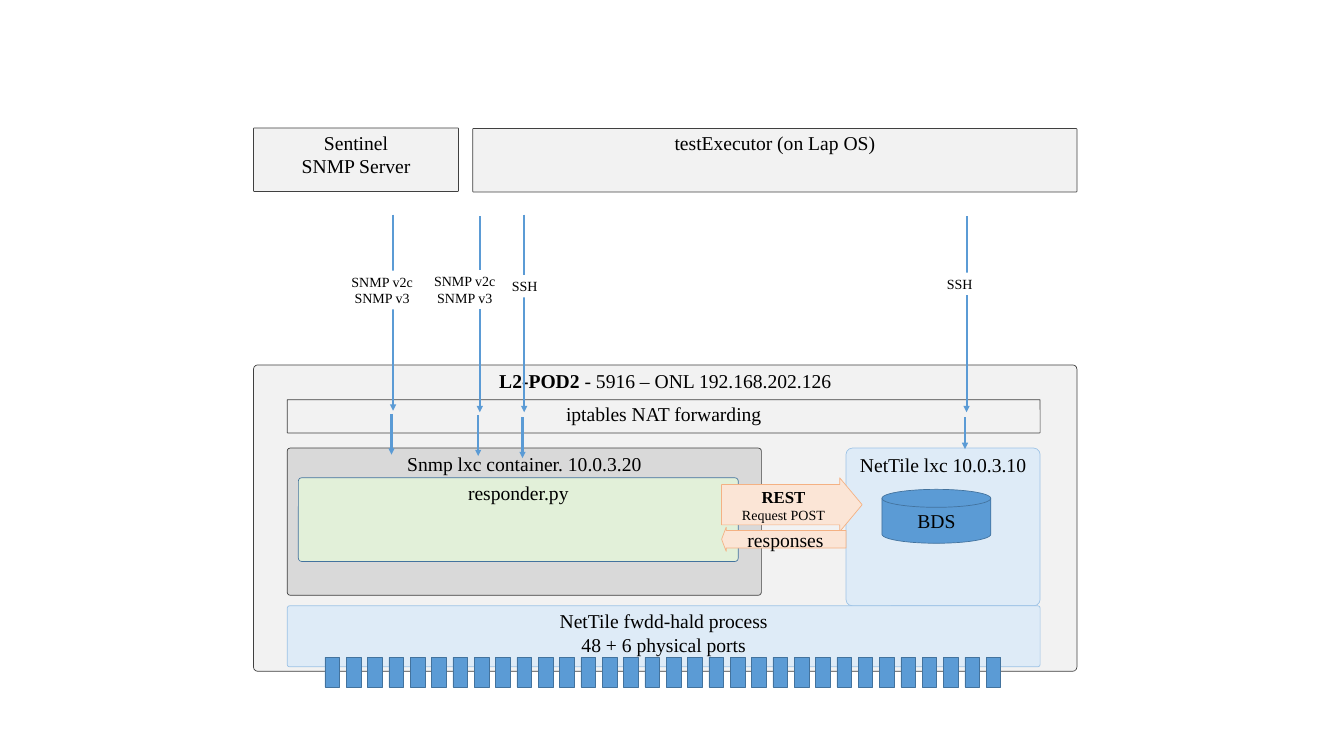
from pptx import Presentation
from pptx.dml.color import RGBColor
from pptx.enum.shapes import MSO_CONNECTOR as Link, MSO_SHAPE as Kind
from pptx.enum.text import MSO_ANCHOR as Anchor, MSO_AUTO_SIZE as Fit, PP_ALIGN as Align
from pptx.oxml.ns import qn
from pptx.util import Inches, Pt
from lxml.etree import SubElement

# All lengths are percent of the slide: columns across, rows down
WIDE, HIGH = Inches(26.67), Inches(15)
COL, ROW = WIDE / 100, HIGH / 100

FONT = "Times New Roman"
BLACK = RGBColor(0x00, 0x00, 0x00)
WHITE = RGBColor(0xFF, 0xFF, 0xFF)
PALE = RGBColor(0xF2, 0xF2, 0xF2)
GREY = RGBColor(0xD9, 0xD9, 0xD9)
DARK = RGBColor(0x40, 0x40, 0x40)
ICE = RGBColor(0xDE, 0xEB, 0xF7)
SKY = RGBColor(0x9D, 0xC3, 0xE6)
GREEN = RGBColor(0xE2, 0xF0, 0xD9)
BLUE = RGBColor(0x5B, 0x9B, 0xD5)
NAVY = RGBColor(0x43, 0x73, 0x9E)
PEACH = RGBColor(0xFB, 0xE5, 0xD6)
ORANGE = RGBColor(0xF4, 0xB1, 0x83)

# Shared edges
LEFT, INNER, SPAN = 18.86, 21.37, 56.02
LXC_TOP, REST_TOP, REST_LEFT = 59.27, 63.2, 53.69


def add_text(shape, lines, align=Align.CENTER, anchor=Anchor.TOP):
    """Each line is a list of runs: (text, size, bold)."""
    frame = shape.text_frame
    frame.word_wrap = True
    frame.vertical_anchor = anchor
    for i, runs in enumerate(lines):
        para = frame.paragraphs[0] if i == 0 else frame.add_paragraph()
        para.alignment = align
        for text, size, bold in runs:
            run = para.add_run()
            run.text = text
            run.font.name = FONT
            run.font.size = Pt(size)
            run.font.bold = bold
            run.font.color.rgb = BLACK


def plain(*texts, size=28):
    return [[(text, size, False)] for text in texts]


def add_shape(slide, kind, x, y, w, h, fill, edge=None, adjust=()):
    shape = slide.shapes.add_shape(
        kind, round(x * COL), round(y * ROW), round(w * COL), round(h * ROW))
    shape.shadow.inherit = False
    shape.fill.solid()
    shape.fill.fore_color.rgb = fill
    if edge is None:
        shape.line.fill.background()
    else:
        shape.line.color.rgb = edge
        shape.line.width = Pt(1)
    for i, value in enumerate(adjust):
        shape.adjustments[i] = value
    return shape


def add_box(slide, x, y, w, h, fill, edge, lines, curve=0.014):
    box = add_shape(slide, Kind.ROUNDED_RECTANGLE, x, y, w, h, fill, edge, [curve])
    add_text(box, lines)


def add_arrow(slide, x1, y1, x2, y2):
    link = slide.shapes.add_connector(
        Link.STRAIGHT, round(x1 * COL), round(y1 * ROW), round(x2 * COL), round(y2 * ROW))
    link.line.color.rgb = BLUE
    link.line.width = Pt(3)
    SubElement(link.line._get_or_add_ln(), qn("a:tailEnd"), type="triangle")
    SubElement(link._element.spPr, qn("a:effectLst"))


def add_label(slide, x, y, w, h, texts, align):
    label = add_shape(slide, Kind.RECTANGLE, x, y, w, h, WHITE)
    add_text(label, plain(*texts, size=20), align)
    label.text_frame.margin_right = Inches(0.09)
    label.text_frame.auto_size = Fit.SHAPE_TO_FIT_TEXT


def add_hosts(slide):
    add_box(slide, LEFT, 16.93, 15.26, 8.4, PALE, DARK, plain("Sentinel", "SNMP Server"))
    add_box(slide, 35.17, 17, 44.96, 8.4, PALE, DARK, plain("testExecutor (on Lap OS)"))


def add_pod(slide):
    add_box(slide, LEFT, 48.27, 61.27, 40.53, PALE, DARK,
            [[("L2-POD2 ", 28, True), ("- 5916 – ONL 192.168.202.126", 28, False)]])
    add_box(slide, INNER, LXC_TOP, 35.28, 19.47, GREY, DARK,
            plain("Snmp lxc container. 10.0.3.20"), 0.021)
    add_box(slide, 62.95, LXC_TOP, 14.44, 20.87, ICE, SKY,
            plain("NetTile lxc 10.0.3.10"), 0.04)
    add_box(slide, 22.2, REST_TOP, 32.73, 11.07, GREEN, NAVY, plain("responder.py"), 0.04)
    add_box(slide, INNER, 52.87, SPAN, 4.4, PALE, DARK, plain("iptables NAT forwarding"))
    add_box(slide, INNER, 80.13, SPAN, 8.07, ICE, SKY,
            plain("NetTile fwdd-hald process", "48 + 6 physical ports"), 0.04)


def add_rest(slide):
    out = add_shape(slide, Kind.RIGHT_ARROW, REST_LEFT, REST_TOP, 10.46, 7.13,
                    PEACH, ORANGE, [0.748, 0.417])
    add_text(out, [[("REST", 24, True)], [("Request POST", 20, False)]],
             anchor=Anchor.MIDDLE)
    back = add_shape(slide, Kind.LEFT_ARROW, REST_LEFT, 69.73, 9.26, 3.2,
                     PEACH, ORANGE, [0.726, 0.19])
    add_text(back, plain("responses"), anchor=Anchor.MIDDLE)
    disk = add_shape(slide, Kind.FLOWCHART_MAGNETIC_DISK, 65.62, 64.73, 8.1, 7.13,
                     BLUE, NAVY)
    add_text(disk, plain("BDS"), anchor=Anchor.MIDDLE)


def add_ports(slide, count=32, first=24.18, last=73.38):
    step = (last - first) / (count - 1)
    for i in range(count):
        add_shape(slide, Kind.RECTANGLE, first + i * step, 86.95, 1.09, 3.93, BLUE, NAVY)


def add_flows(slide):
    # Column, start and end of the long arrow, start and end of the short one
    for x, top, stop, start, end in [
        (29.25, 28.4, 54.33, 54.73, 60.13),
        (35.7, 28.6, 54.53, 54.93, 60.33),
        (39, 28.4, 54.53, 55.2, 60.6),
        (71.92, 28.6, 54.53, 55.2, 59.4),
    ]:
        add_arrow(slide, x, top, x, stop)
        add_arrow(slide, x - 0.12, start, x - 0.12, end)
    # Protocol labels over the long arrows
    for x, y in [(25.72, 35.8), (31.87, 35.73)]:
        add_label(slide, x, y, 5.4, 5.13, ["SNMP v2c", "SNMP v3"], Align.CENTER)
    for x, y, w in [(37.72, 36.4, 2.7), (70.08, 36.07, 3.19)]:
        add_label(slide, x, y, w, 2.93, ["SSH"], Align.LEFT)


def main():
    deck = Presentation()
    deck.slide_width, deck.slide_height = WIDE, HIGH
    slide = deck.slides.add_slide(deck.slide_layouts[6])
    add_hosts(slide)
    add_pod(slide)
    add_rest(slide)
    add_ports(slide)
    add_flows(slide)
    deck.save("out.pptx")


if __name__ == "__main__":
    main()
